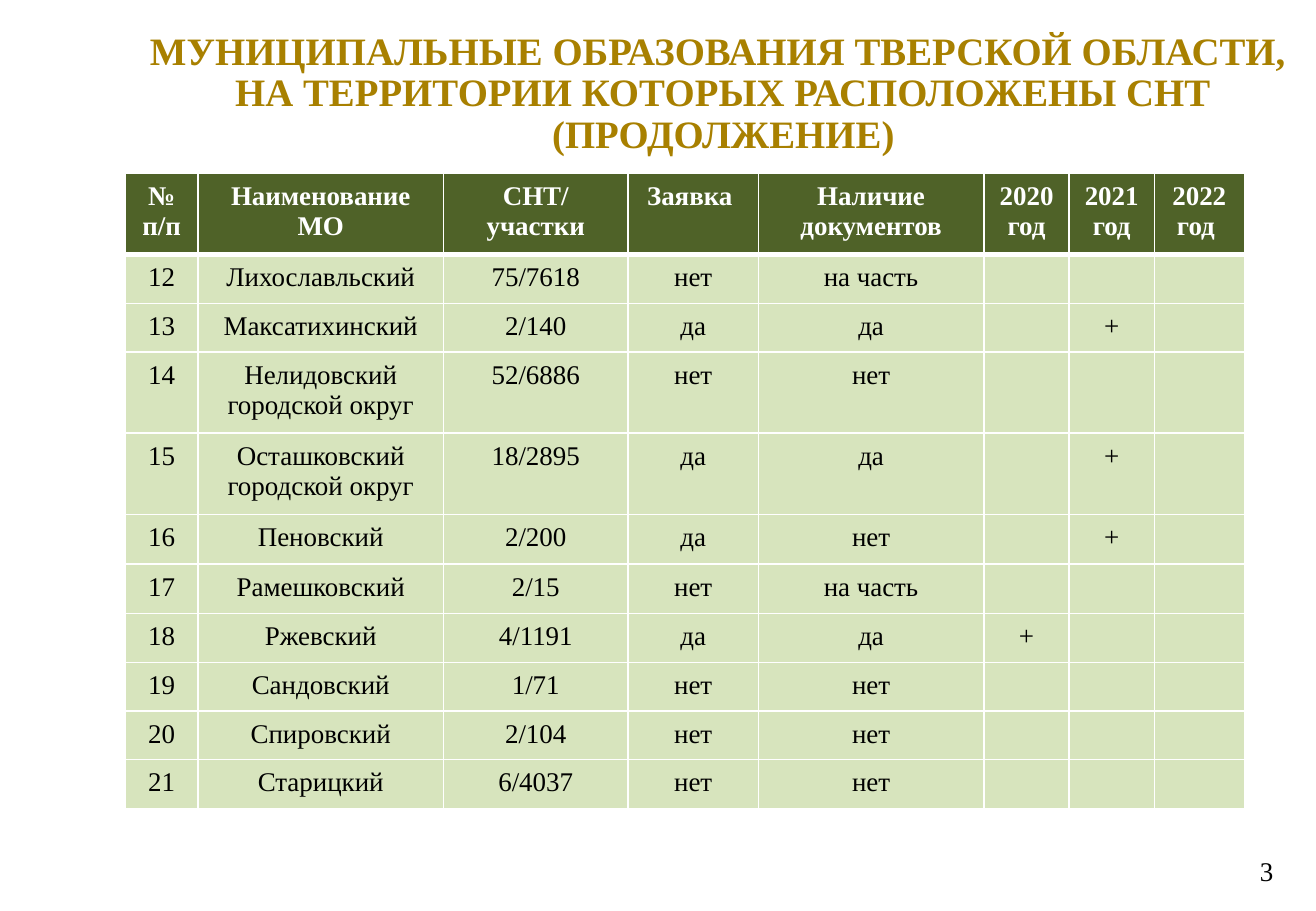
import pptx
import pptx.util
import pptx.dml.color
import pptx.enum.text
import pptx.oxml.ns
from lxml import etree

Cm = pptx.util.Cm
Pt = pptx.util.Pt
RGB = pptx.dml.color.RGBColor.from_string
qn = pptx.oxml.ns.qn
CENTER = pptx.enum.text.PP_ALIGN.CENTER
COLORS = {"title": "A88000", "header": "4F6228", "body": "D7E4BD",
          "white": "FFFFFF", "black": "000000"}


def write(tf, text, size=16, color="black", bold=False, align=CENTER, spacing=None):
    for i, line in enumerate(text.split("\n")):
        p = tf.paragraphs[0] if i == 0 else tf.add_paragraph()
        p.alignment = align
        if spacing:
            p.line_spacing = spacing
        if not line:
            etree.SubElement(p._p, qn("a:endParaRPr"), sz=str(size * 100))
            continue
        r = p.add_run()
        r.text = line
        r.font.name = "Times New Roman"
        r.font.size = Pt(size)
        r.font.bold = bold
        r.font.color.rgb = RGB(COLORS[color])


def set_borders(cell, bottom):
    tcPr = cell._tc.get_or_add_tcPr()
    for i, (side, width) in enumerate([("L", 1), ("R", 1), ("T", 1), ("B", bottom)]):
        ln = etree.Element(qn(f"a:ln{side}"), w=str(Pt(width)))
        fill = etree.SubElement(ln, qn("a:solidFill"))
        etree.SubElement(fill, qn("a:srgbClr"), val=COLORS["white"])
        tcPr.insert(i, ln)


prs = pptx.Presentation()
prs.slide_width, prs.slide_height = Cm(27.51), Cm(19.05)
s = prs.slides.add_slide(prs.slide_layouts[6])

title = ("МУНИЦИПАЛЬНЫЕ ОБРАЗОВАНИЯ ТВЕРСКОЙ ОБЛАСТИ, \n"
         "НА ТЕРРИТОРИИ КОТОРЫХ РАСПОЛОЖЕНЫ СНТ\n(ПРОДОЛЖЕНИЕ)")
title_format = {"size": 23, "color": "title", "bold": True, "spacing": 0.9}
page_format = {"align": pptx.enum.text.PP_ALIGN.LEFT}
for text, box, fmt in [(title, (2.74, 0.51, 24.77, 2.54), title_format),
                       ("3", (26.04, 17.73, 1.12, 0.99), page_format)]:
    tf = s.shapes.add_textbox(*[Cm(v) for v in box]).text_frame
    tf.word_wrap = True
    tf.margin_left = tf.margin_right = Cm(0.3)
    tf.margin_top = tf.margin_bottom = Cm(0.15)
    write(tf, text, **fmt)

rows = [
    ["№ п/п", "Наименование МО", "СНТ/\nучастки", "Заявка ",
     "Наличие документов", "2020 год", "2021 год", "2022 год "],
    ["12", "Лихославльский", "75/7618", "нет", "на часть", "", "", ""],
    ["13", "Максатихинский", "2/140", "да", "да", "", "+", ""],
    ["14", "Нелидовский городской округ", "52/6886", "нет", "нет", "", "", ""],
    ["15", "Осташковский городской округ", "18/2895", "да", "да", "", "+", ""],
    ["16", "Пеновский", "2/200", "да", "нет", "", "+", ""],
    ["17", "Рамешковский", "2/15", "нет", "на часть", "", "", ""],
    ["18", "Ржевский", "4/1191", "да", "да", "+", "", ""],
    ["19", "Сандовский", "1/71", "нет", "нет", "", "", ""],
    ["20", "Спировский", "2/104", "нет", "нет", "", "", ""],
    ["21", "Старицкий", "6/4037", "нет", "нет", "", "", ""],
]
col_widths = [1.52, 5.13, 3.86, 2.72, 4.72, 1.78, 1.78, 1.88]
row_heights = [1.66, 1.02, 1.01, 1.69, 1.69, 1.04, 1.04, 1.01, 1.01, 1.01, 1.01]

table = s.shapes.add_table(len(rows), len(col_widths), Cm(2.62), Cm(3.63),
                           Cm(sum(col_widths)), Cm(sum(row_heights))).table
for column, width in zip(table.columns, col_widths):
    column.width = Cm(width)
for i, (row, height) in enumerate(zip(rows, row_heights)):
    table.rows[i].height = Cm(height)
    header = i == 0
    for j, text in enumerate(row):
        cell = table.cell(i, j)
        cell.margin_left = cell.margin_right = Cm(0.28)
        cell.margin_top = cell.margin_bottom = Cm(0.17)
        cell.fill.solid()
        cell.fill.fore_color.rgb = RGB(COLORS["header" if header else "body"])
        set_borders(cell, 3 if header else 1)
        if i == 1:
            cell._tc.tcPr.find(qn("a:lnT")).set("w", str(Pt(3)))
        write(cell.text_frame, text, color="white" if header else "black", bold=header)

prs.save("out.pptx")
